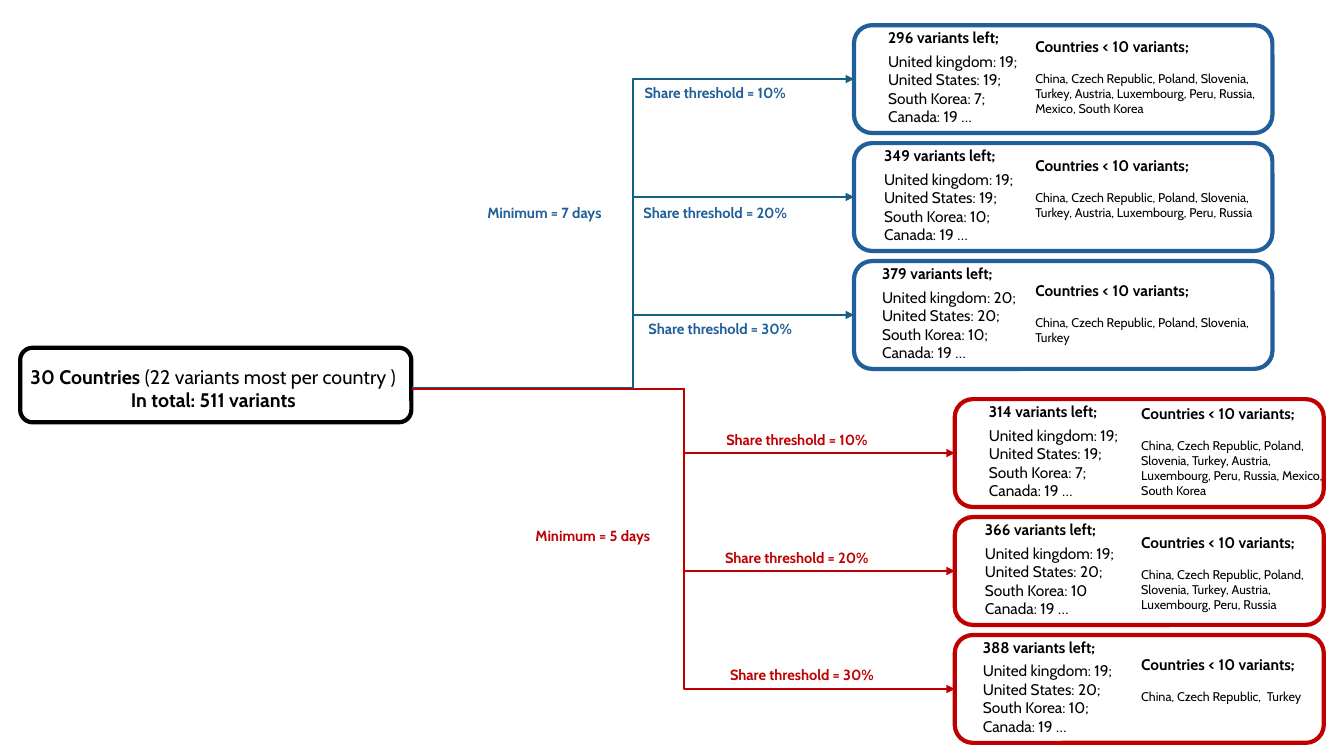
from collections import namedtuple

from lxml.etree import SubElement
from pptx import Presentation
from pptx.dml.color import RGBColor
from pptx.enum.shapes import MSO_CONNECTOR as Connector, MSO_SHAPE as Shape
from pptx.enum.text import MSO_AUTO_SIZE as AutoSize, PP_ALIGN as Align
from pptx.oxml.ns import qn
from pptx.util import Inches, Pt

COLOURS = {"black": "000000", "blue": "215F9A", "teal": "156082", "red": "C00000"}
FONT = "Cabin"
BOX_PITCH, BOX_HEIGHT = 1.17, 1.07
COUNT_INDENTS = (0.24, 0.2, 0.18)
LABEL_SHIFTS = (0, 0, 0.05)

Branch = namedtuple("Branch", "days days_at colour line left top width label_left few_left outcomes")
Outcome = namedtuple("Outcome", "label_top left_over counts few_top few_width few_height few")

FIVE = "China, Czech Republic, Poland, Slovenia, Turkey"
NINE = FIVE + ", Austria, Luxembourg, Peru, Russia"
ELEVEN = NINE + ", Mexico, South Korea"

BRANCHES = (
    Branch(7, (4.7, 1.97), "blue", "teal", 8.47, 0.25, 4.15, 6.25, 10.17, (
        Outcome(0.78, 296, ("19;", "19;", "7;"), 0.32, 2.45, 0.89, ELEVEN),
        Outcome(1.97, 349, ("19;", "19;", "10;"), 1.5, 2.45, 0.89, NINE),
        Outcome(3.12, 379, ("20;", "20;", "10;"), 2.74, 2.45, 0.74, FIVE),
    )),
    Branch(5, (5.18, 5.18), "red", "red", 9.47, 3.96, 3.66, 7.06, 11.22, (
        Outcome(4.22, 314, ("19;", "19;", "7;"), 3.96, 2.09, 1.04, ELEVEN),
        Outcome(5.4, 366, ("19;", "20;", "10"), 5.24, 1.92, 0.89, NINE),
        Outcome(6.56, 388, ("19;", "20;", "10;"), 6.45, 1.92, 0.59, "China, Czech Republic,  Turkey"),
    )),
)


class TreeSlide:
    def __init__(self, slide):
        self.shapes = slide.shapes

    def colour(self, name):
        return RGBColor.from_string(COLOURS[name])

    def frame(self, left, top, width, height, colour):
        box = self.shapes.add_shape(
            Shape.ROUNDED_RECTANGLE, Inches(left), Inches(top), Inches(width), Inches(height))
        box.shadow.inherit = False
        box.fill.background()
        box.line.color.rgb = self.colour(colour)
        box.line.width = Pt(3)
        return box

    def text(self, left, top, width, height, lines, size, colour="black", wrap=False):
        """Each line is a list of (text, bold) runs."""
        box = self.shapes.add_textbox(Inches(left), Inches(top), Inches(width), Inches(height))
        text_frame = box.text_frame
        text_frame.word_wrap = wrap
        text_frame.auto_size = AutoSize.SHAPE_TO_FIT_TEXT
        for index, line in enumerate(lines):
            para = text_frame.add_paragraph() if index else text_frame.paragraphs[0]
            para.alignment = Align.LEFT if wrap else Align.CENTER
            for words, bold in line:
                span = para.add_run()
                span.text = words
                span.font.name, span.font.size, span.font.bold = FONT, Pt(size), bold
                span.font.color.rgb = self.colour(colour)
        return box

    def label(self, left, top, width, words, colour):
        self.text(left, top, width, 0.28, [[(words, True)]], 10.5, colour)

    def headed_text(self, left, top, width, height, heading, body, gap, body_size=11):
        lines = [[(heading, True)]] + [[(words, False)] for words in body]
        box = self.text(left, top, width, height, lines, 11, wrap=True)
        paras = box.text_frame.paragraphs
        paras[1].space_before = Pt(gap)
        for para in paras[1:]:
            para.runs[0].font.size = Pt(body_size)

    def arrow(self, start, end, colour):
        """Elbow arrow from the right side of start to the left side of end."""
        arrow = self.shapes.add_connector(Connector.ELBOW, 0, 0, 0, 0)
        arrow.begin_connect(start, 3)
        arrow.end_connect(end, 1)
        arrow.line.color.rgb = self.colour(colour)
        arrow.line.width = Pt(1.5)
        SubElement(arrow.line._get_or_add_ln(), qn("a:tailEnd"), type="triangle")
        SubElement(arrow._element.spPr, qn("a:effectLst"))

    def branch(self, root, branch):
        self.label(*branch.days_at, 1.4, f"Minimum = {branch.days} days", branch.colour)
        for row, outcome in enumerate(branch.outcomes):
            top = branch.top + row * BOX_PITCH
            box = self.frame(branch.left, top, branch.width, BOX_HEIGHT, branch.colour)
            self.arrow(root, box, branch.line)
            self.label(branch.label_left + LABEL_SHIFTS[row], outcome.label_top, 1.72,
                       f"Share threshold = {10 * (row + 1)}% ", branch.colour)
            countries = ("United kingdom", "United States", "South Korea", "Canada")
            counts = outcome.counts + ("19 …",)
            self.headed_text(
                branch.left + COUNT_INDENTS[row], top - 0.02, 1.67, 1.08,
                f"{outcome.left_over} variants left;",
                [f"{country}: {count}" for country, count in zip(countries, counts)], 3.65)
            self.headed_text(
                branch.few_left, outcome.few_top, outcome.few_width, outcome.few_height,
                "Countries < 10 variants;", [outcome.few], 10.9, 9)


def main():
    deck = Presentation()
    deck.slide_width, deck.slide_height = Inches(13.33), Inches(7.5)
    page = TreeSlide(deck.slides.add_slide(deck.slide_layouts[6]))
    page.frame(0.2, 3.45, 3.88, 0.74, "black")
    root = page.text(0.14, 3.57, 3.95, 0.57, [
        [("30 Countries ", True), ("(22 variants most per country )", False)],
        [("In total: 511 variants", True)],
    ], 14)
    for branch in BRANCHES:
        page.branch(root, branch)
    deck.save("out.pptx")


if __name__ == "__main__":
    main()
